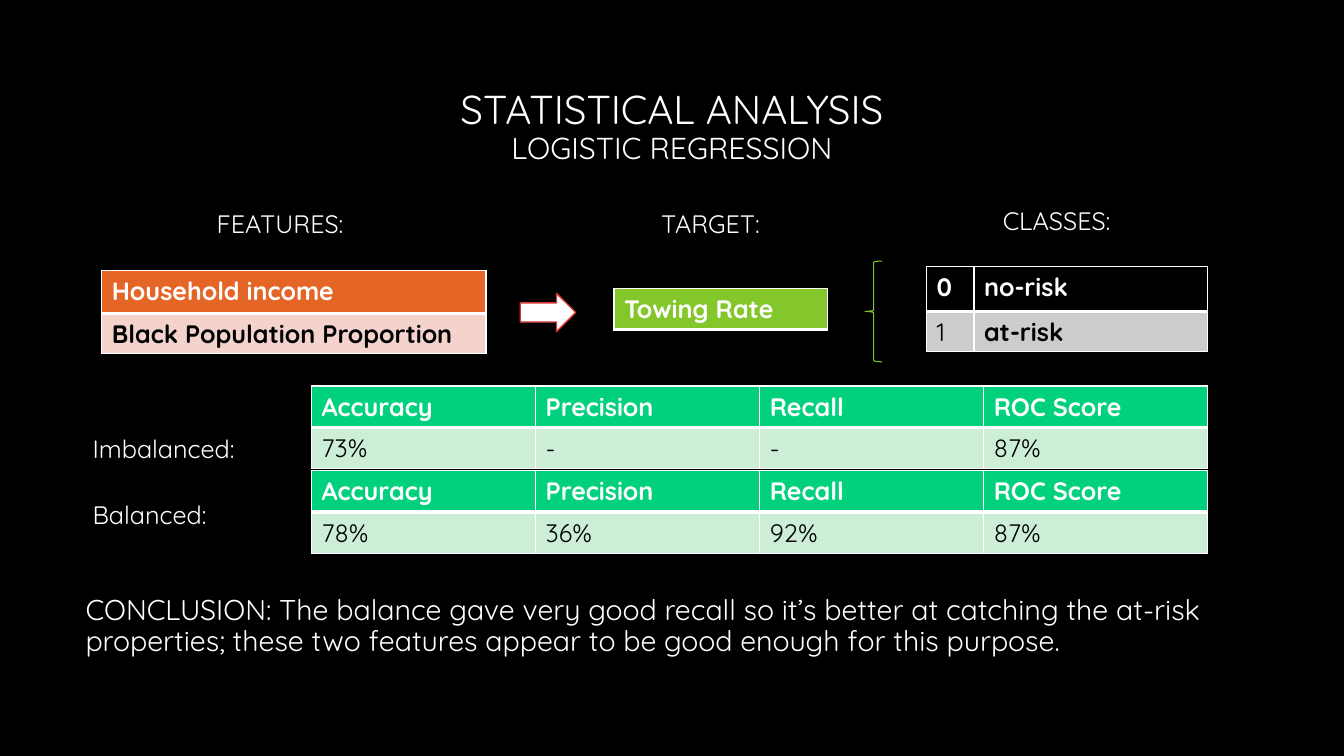
from lxml.etree import SubElement
from pptx import Presentation
from pptx.dml.color import RGBColor
from pptx.enum.shapes import MSO_SHAPE
from pptx.enum.text import MSO_ANCHOR, PP_ALIGN
from pptx.oxml.ns import qn
from pptx.util import Inches, Pt

BLACK = RGBColor(0x00, 0x00, 0x00)
WHITE = RGBColor(0xFF, 0xFF, 0xFF)
GRAY = RGBColor(0xCC, 0xCC, 0xCC)
ORANGE = RGBColor(0xE5, 0x65, 0x26)
PINK = RGBColor(0xF5, 0xD3, 0xCD)
LIME = RGBColor(0x84, 0xC7, 0x2A)
GREEN = RGBColor(0x01, 0xD1, 0x7D)
MINT = RGBColor(0xCC, 0xEE, 0xD7)
RED = RGBColor(0xD6, 0x37, 0x31)


class SlideBuilder:
    font_name = "Quicksand"
    body_size = 18

    def __init__(self, slide):
        self.slide = slide
        slide.background.fill.solid()
        slide.background.fill.fore_color.rgb = BLACK

    def style_run(self, run, size, color=WHITE, bold=False):
        run.font.name = self.font_name
        run.font.size = Pt(size)
        run.font.color.rgb = color
        run.font.bold = bold

    def text(self, box, text, sizes=(body_size,), align=PP_ALIGN.LEFT,
             anchor=MSO_ANCHOR.TOP, line_spacing=1.0):
        shape = self.slide.shapes.add_textbox(*map(Inches, box))
        text_frame = shape.text_frame
        text_frame.word_wrap = True
        text_frame.vertical_anchor = anchor
        paragraph = text_frame.paragraphs[0]
        paragraph.text = text
        paragraph.alignment = align
        paragraph.line_spacing = line_spacing
        for run, size in zip(paragraph.runs, sizes):
            self.style_run(run, size)

    def border(self, cell, widths):
        properties = cell._tc.get_or_add_tcPr()
        for side, width in zip("LRTB", widths):
            line = SubElement(properties, qn(f"a:ln{side}"), w=str(Pt(width)))
            fill = SubElement(line, qn("a:solidFill"))
            SubElement(fill, qn("a:srgbClr"), val=str(WHITE))

    def table(self, left, top, widths, heights, rows, fills, plain_cells=()):
        frame = self.slide.shapes.add_table(
            len(rows), len(widths), Inches(left), Inches(top),
            Inches(sum(widths)), Inches(sum(heights)))
        table = frame.table
        table.first_row = False
        table.horz_banding = False
        for column, width in zip(table.columns, widths):
            column.width = Inches(width)
        for row, height in zip(table.rows, heights):
            row.height = Inches(height)
        for row_index, values in enumerate(rows):
            is_header = row_index == 0
            for column_index, value in enumerate(values):
                cell = table.cell(row_index, column_index)
                self.border(cell, (1, 1, 1, 3) if is_header else (1, 1, 3, 1))
                cell.fill.solid()
                cell.fill.fore_color.rgb = fills[row_index]
                cell.text_frame.text = value
                self.style_run(cell.text_frame.paragraphs[0].runs[0], self.body_size,
                               WHITE if is_header else BLACK,
                               (row_index, column_index) not in plain_cells)

    def shape(self, kind, box, line_color, line_width, fill_color=None):
        shape = self.slide.shapes.add_shape(kind, *map(Inches, box))
        shape.shadow.inherit = False
        if fill_color is None:
            shape.fill.background()
        else:
            shape.fill.solid()
            shape.fill.fore_color.rgb = fill_color
        shape.line.color.rgb = line_color
        shape.line.width = Pt(line_width)


def main():
    presentation = Presentation()
    presentation.slide_width = Inches(13.33)
    presentation.slide_height = Inches(7.5)
    builder = SlideBuilder(presentation.slides.add_slide(presentation.slide_layouts[6]))

    builder.text((0.75, 0.84, 11.83, 0.85), "STATISTICAL ANALYSIS\vLOGISTIC REGRESSION",
                 (28.8, 21.6), PP_ALIGN.CENTER, MSO_ANCHOR.MIDDLE, 0.9)
    builder.text((0.75, 5.86, 11.83, 0.92),
                 "CONCLUSION: The balance gave very good recall so it’s better at catching "
                 "the at-risk properties; these two features appear to be good enough for "
                 "this purpose.", (20.4,), line_spacing=0.9)

    builder.text((2.05, 2.02, 1.51, 0.4), "FEATURES:")
    builder.text((6.46, 2.02, 1.38, 0.4), "TARGET:")
    builder.text((9.5, 1.99, 1.96, 0.4), "CLASSES:", align=PP_ALIGN.CENTER)

    builder.table(1.01, 2.68, [3.81], [0.43, 0.4],
                  [["Household income"], ["Black Population Proportion"]], [ORANGE, PINK])
    builder.table(6.09, 2.86, [2.12], [0.41], [["Towing Rate"]], [LIME])
    builder.table(9.19, 2.64, [0.47, 2.32], [0.45, 0.4],
                  [["0", "no-risk"], ["1", "at-risk"]], [BLACK, GRAY], {(1, 0)})

    metrics = ["Accuracy", "Precision", "Recall", "ROC Score"]
    results = [
        ("Imbalanced:", 4.25, 1.9, 3.83, ["73%", "-", "-", "87%"]),
        ("Balanced:", 4.9, 1.5, 4.67, ["78%", "36%", "92%", "87%"]),
    ]
    plain_scores = {(1, column) for column in range(len(metrics))}
    for label, label_top, label_width, table_top, scores in results:
        builder.text((0.82, label_top, label_width, 0.4), label)
        builder.table(3.09, table_top, [8.89 / len(metrics)] * len(metrics), [0.41, 0.41],
                      [metrics, scores], [GREEN, MINT], plain_scores)

    builder.shape(MSO_SHAPE.RIGHT_ARROW, (5.16, 2.91, 0.55, 0.38), RED, 1, WHITE)
    builder.shape(MSO_SHAPE.LEFT_BRACE, (8.58, 2.59, 0.17, 1), LIME, 0.75)

    presentation.save("out.pptx")


if __name__ == "__main__":
    main()
